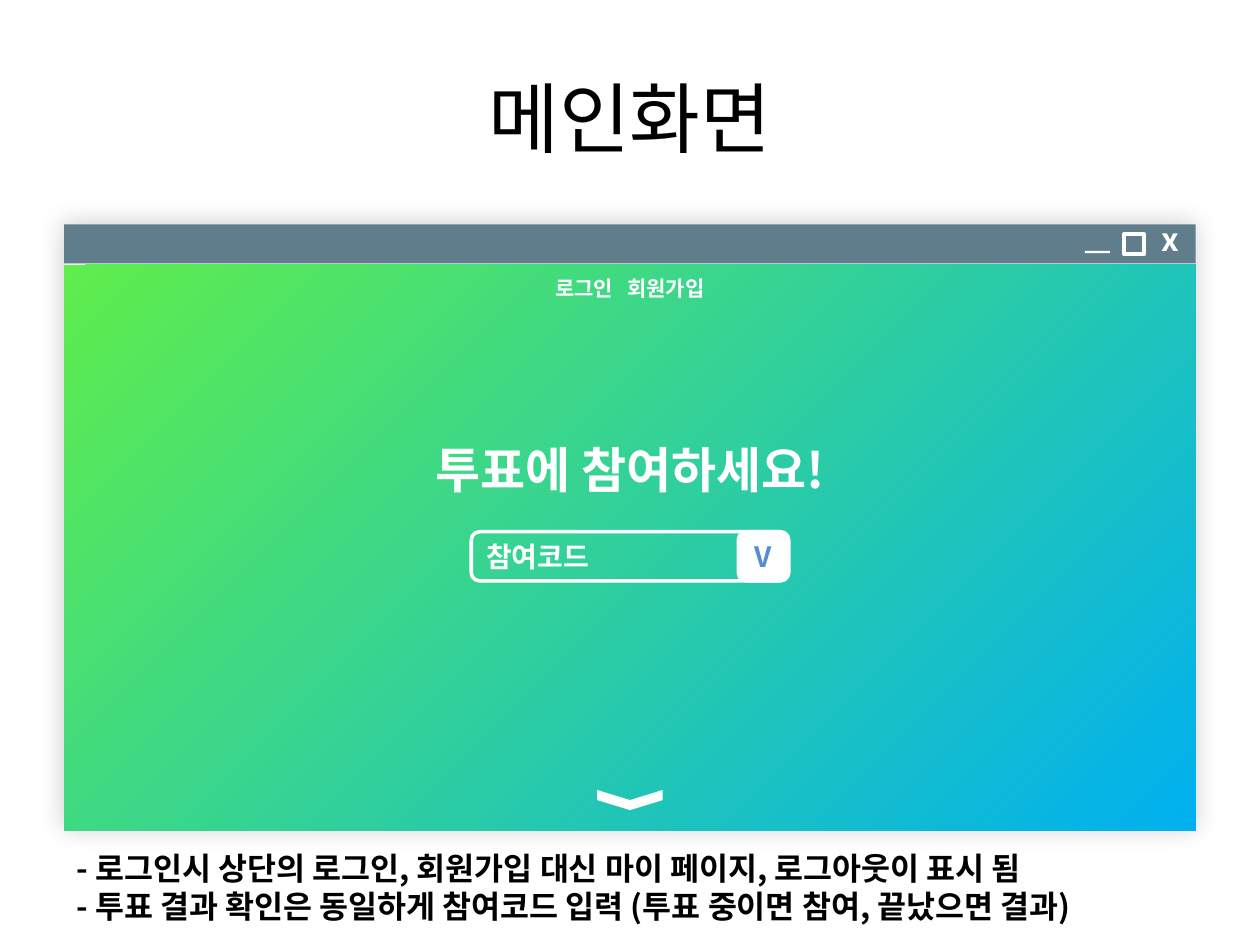
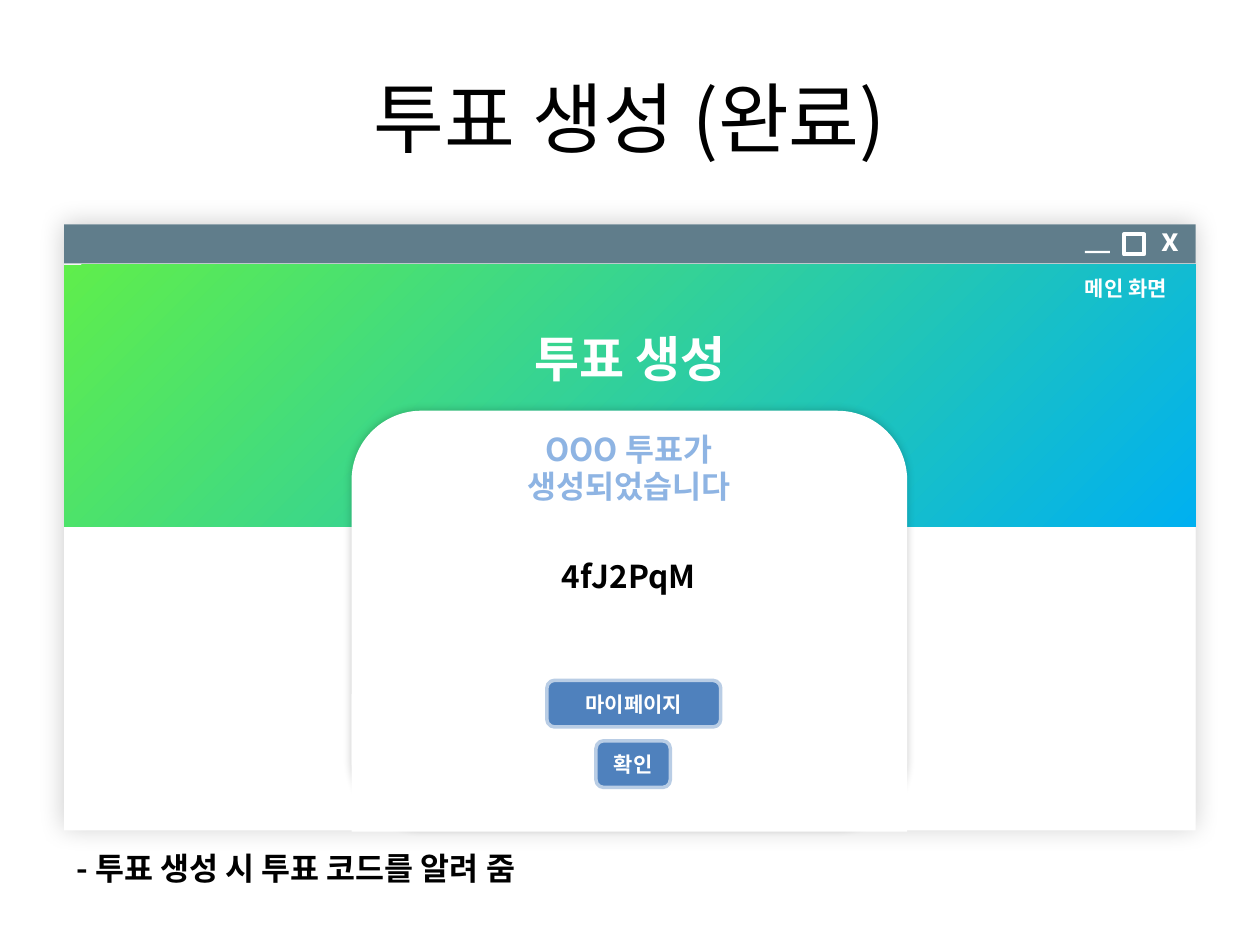
from collections import namedtuple

from lxml import etree
from pptx import Presentation
from pptx.dml.color import RGBColor
from pptx.enum.shapes import MSO_SHAPE
from pptx.enum.text import MSO_ANCHOR, PP_ALIGN
from pptx.oxml.ns import qn
from pptx.util import Emu, Pt

PX = 9144
FONT = "Noto Sans CJK KR"

WHITE = RGBColor(0xFF, 0xFF, 0xFF)
BLACK = RGBColor(0x00, 0x00, 0x00)
FRAME = RGBColor(0xF2, 0xF2, 0xF2)
TITLE_BAR = RGBColor(0x60, 0x7D, 0x8B)
GREEN = RGBColor(0x5F, 0xEE, 0x4C)
SKY = RGBColor(0x00, 0xB0, 0xF0)
CHECK_BLUE = RGBColor(0x55, 0x8E, 0xD5)
PALE_BLUE = RGBColor(0x8E, 0xB4, 0xE3)
BUTTON = RGBColor(0x4F, 0x81, 0xBD)
BUTTON_EDGE = RGBColor(0xB9, 0xCD, 0xE5)

RECT = MSO_SHAPE.RECTANGLE
ROUND = MSO_SHAPE.ROUNDED_RECTANGLE
CHEVRON = MSO_SHAPE.CHEVRON
TOP, MIDDLE = MSO_ANCHOR.TOP, MSO_ANCHOR.MIDDLE
LEFT, CENTER = PP_ALIGN.LEFT, PP_ALIGN.CENTER

Box = namedtuple("Box", "x y w h")
TITLE = Box(50, 30, 900, 125)
WINDOW = Box(51, 178, 898, 480)
PAGE = Box(51, 210, 898, 449)
CAPTION = Box(51, 669, 898, 71)


def emu(*lengths):
    return [Emu(n * PX) for n in lengths]


def inside(box, x, y, w, h):
    return Box(box.x + x, box.y + y, w, h)


def centered(box, y, w, h):
    return inside(box, (box.w - w) // 2, y, w, h)


def add_run(p, text, size, color, bold=True, spacing=0):
    r = p.add_run()
    r.text = text
    r.font.name = FONT
    r.font.size = Pt(size)
    r.font.bold = bold
    r.font.color.rgb = color
    rPr = r.font._element
    etree.SubElement(rPr, qn("a:ea")).set("typeface", FONT)
    if spacing:
        rPr.set("spc", str(spacing))


def write(sp, lines, size, color, align=CENTER, anchor=TOP, bold=True):
    tf = sp.text_frame
    tf.word_wrap = True
    tf.vertical_anchor = anchor
    for i, line in enumerate(lines):
        p = tf.add_paragraph() if i else tf.paragraphs[0]
        p.alignment = align
        add_run(p, line, size, color, bold)


def add_text(s, box, lines, size, color, **style):
    sp = s.shapes.add_textbox(*emu(*box))
    write(sp, lines, size, color, **style)
    return sp


def add_box(s, kind, box, fill=None, line=None, width=2):
    sp = s.shapes.add_shape(kind, *emu(*box))
    sp.shadow.inherit = False
    if fill is None:
        sp.fill.background()
    else:
        sp.fill.solid()
        sp.fill.fore_color.rgb = fill
    if line is None:
        sp.line.fill.background()
    else:
        sp.line.color.rgb = line
        sp.line.width = Pt(width)
    return sp


def add_glow(sp, blur):
    effects = sp._element.spPr.find(qn("a:effectLst"))
    shadow = etree.SubElement(effects, qn("a:outerShdw"), blurRad=str(Pt(blur)),
                              dist="0", dir="0", algn="ctr", rotWithShape="0")
    color = etree.SubElement(shadow, qn("a:srgbClr"), val=str(BLACK))
    etree.SubElement(color, qn("a:alpha"), val="20000")


def add_gradient(s, box):
    sp = add_box(s, RECT, box)
    sp.fill.gradient()
    sp.fill.gradient_angle = 315
    for stop, color in zip(sp.fill.gradient_stops, (GREEN, SKY)):
        stop.color.rgb = color


def add_button(s, box, label):
    sp = add_box(s, ROUND, box, BUTTON, BUTTON_EDGE)
    write(sp, [label], 12, WHITE, anchor=MIDDLE)


def add_window(s, box):
    add_glow(add_box(s, RECT, box, FRAME), 15)
    add_box(s, RECT, inside(box, 0, 0, box.w, 31), TITLE_BAR)
    add_box(s, RECT, inside(box, 810, 21, 20, 2), WHITE)
    add_box(s, RECT, inside(box, 841, 8, 16, 16), line=WHITE, width=2.25)
    add_text(s, inside(box, 861, -8, 24, 40), ["x"], 18, WHITE, align=LEFT)


def add_screen(prs, title, notes):
    s = prs.slides.add_slide(prs.slide_layouts[6])
    add_window(s, WINDOW)
    add_text(s, TITLE, [title], 44, BLACK, anchor=MIDDLE, bold=False)
    add_box(s, RECT, PAGE, WHITE)
    add_text(s, CAPTION, notes, 18, BLACK, align=LEFT)
    return s


def add_code_field(s, box):
    field = add_box(s, ROUND, box, line=WHITE)
    write(field, ["참여코드"], 16, WHITE, align=LEFT, anchor=MIDDLE)
    check = add_box(s, ROUND, inside(box, box.w - box.h - 1, 0, box.h, box.h), WHITE, WHITE)
    write(check, ["V"], 16, CHECK_BLUE, anchor=MIDDLE)


def add_main_page(s, box):
    add_gradient(s, box)
    add_code_field(s, centered(box, 212, 252, 39))
    add_text(s, centered(box, 134, 370, 57), ["투표에 참여하세요!"], 28, WHITE)
    menu = add_text(s, centered(box, 4, 166, 30), ["로그인"], 12, WHITE)
    p = menu.text_frame.paragraphs[0]
    add_run(p, " ", 12, WHITE, spacing=540)
    add_run(p, "회원가입", 12, WHITE)
    arrow = add_box(s, CHEVRON, centered(box, 399, 16, 52), WHITE)
    arrow.rotation = 90


def add_result_card(s, box):
    add_glow(add_box(s, ROUND, box, WHITE), 5)
    add_box(s, RECT, inside(box, 0, 225, box.w, 109), WHITE)
    add_text(s, centered(box, 10, 228, 71), ["OOO 투표가", "생성되었습니다"], 18, PALE_BLUE)
    add_text(s, centered(box, 111, 272, 40), ["4fJ2PqM"], 18, BLACK)
    add_button(s, inside(box, 155, 214, 138, 37), "마이페이지")
    add_button(s, inside(box, 194, 262, 59, 37), "확인")


def add_created_page(s, box):
    add_gradient(s, inside(box, 0, 0, box.w, 208))
    add_text(s, centered(box, 46, 370, 57), ["투표 생성"], 28, WHITE)
    add_text(s, inside(box, 790, 4, 105, 30), ["메인 화면"], 12, WHITE)
    add_result_card(s, centered(box, 116, 441, 332))


def main():
    prs = Presentation()
    prs.slide_width, prs.slide_height = emu(1000, 750)
    s = add_screen(prs, "메인화면", [
        "- 로그인시 상단의 로그인, 회원가입 대신 마이 페이지, 로그아웃이 표시 됨",
        "- 투표 결과 확인은 동일하게 참여코드 입력 (투표 중이면 참여, 끝났으면 결과)",
    ])
    add_main_page(s, PAGE)
    s = add_screen(prs, "투표 생성 (완료)", ["- 투표 생성 시 투표 코드를 알려 줌"])
    add_created_page(s, PAGE)
    prs.save("out.pptx")


if __name__ == "__main__":
    main()
